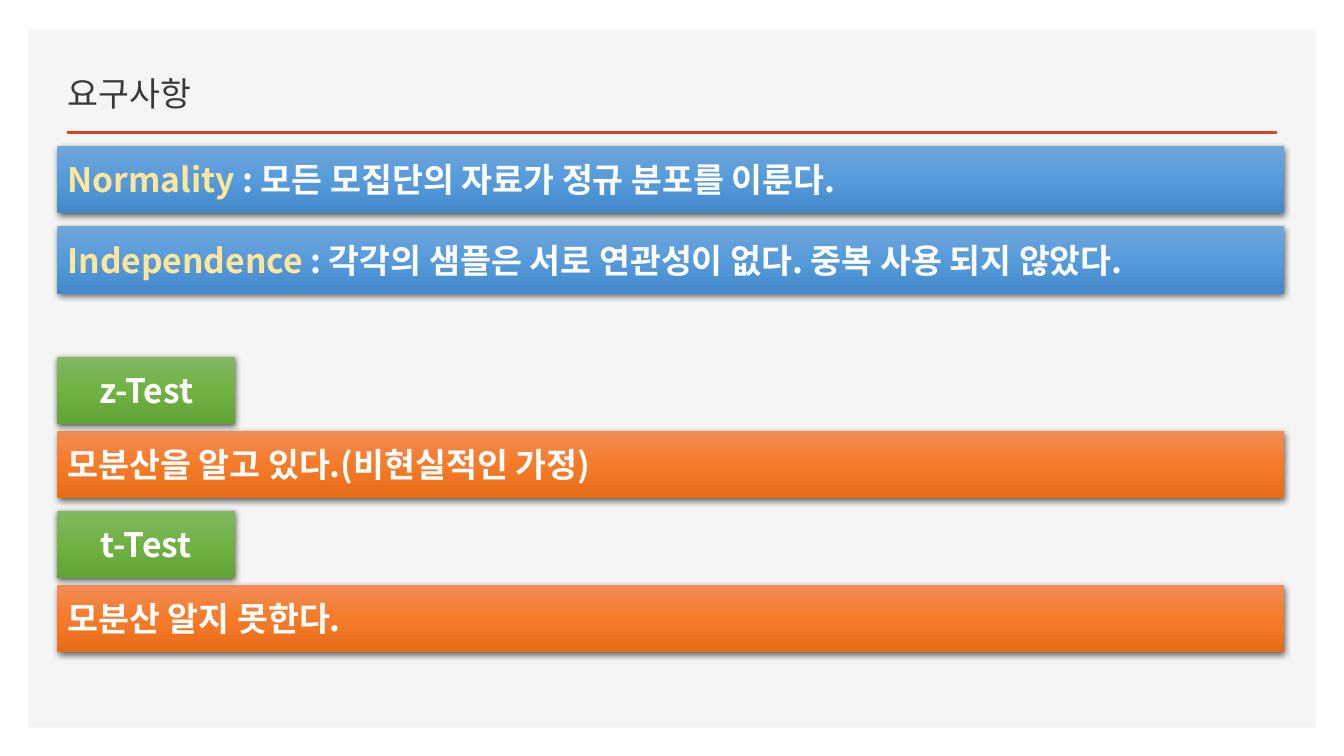
from copy import deepcopy

from lxml import etree
from pptx import Presentation
from pptx.dml.color import RGBColor
from pptx.enum.shapes import MSO_CONNECTOR, MSO_SHAPE
from pptx.enum.text import MSO_ANCHOR, PP_ALIGN
from pptx.oxml.ns import qn
from pptx.util import Cm, Pt

RECT = MSO_SHAPE.RECTANGLE
STRAIGHT = MSO_CONNECTOR.STRAIGHT
MIDDLE, BOTTOM = MSO_ANCHOR.MIDDLE, MSO_ANCHOR.BOTTOM
LEFT, CENTER = PP_ALIGN.LEFT, PP_ALIGN.CENTER

WHITE = RGBColor(0xFF, 0xFF, 0xFF)
PALE = RGBColor(0xF5, 0xF5, 0xF5)
RED = RGBColor(0xD2, 0x47, 0x26)
DARK = RGBColor(0x3B, 0x38, 0x38)
YELLOW = RGBColor(0xFF, 0xE6, 0x99)
BLUES = (RGBColor(0x71, 0xA6, 0xDB), RGBColor(0x55, 0x9B, 0xDB), RGBColor(0x44, 0x8A, 0xCA))
ORANGES = (RGBColor(0xF1, 0x8C, 0x57), RGBColor(0xF6, 0x7B, 0x28), RGBColor(0xE5, 0x6C, 0x19))
GREENS = (RGBColor(0x81, 0xB8, 0x61), RGBColor(0x6F, 0xB2, 0x42), RGBColor(0x62, 0xA3, 0x36))

HEAD_FONT, BODY_FONT = "Karla", "Noto Sans CJK KR"
SIZE = Pt(24)
BAR_H = 1.7  # cm, as are all plain lengths below

RULES = [
    ("Normality", " : 모든 모집단의 자료가 정규 분포를 이룬다."),
    ("Independence", " : 각각의 샘플은 서로 연관성이 없다. 중복 사용 되지 않았다."),
]
TESTS = [
    ("z-Test", "모분산을 알고 있다.(비현실적인 가정)"),
    ("t-Test", "모분산 알지 못한다."),
]


def style(run, name, color, bold):
    font = run.font
    font.name, font.size, font.bold = name, SIZE, bold
    font.color.rgb = color
    east = etree.SubElement(run._r.rPr, qn("a:ea"))
    east.set("typeface", BODY_FONT)


def shade(shape, colors):
    """Three-stop gradient from top to bottom."""
    fill = shape.fill
    fill.gradient()
    fill.gradient_angle = 270
    stops = shape._element.spPr.find(".//" + qn("a:gsLst"))
    stops.append(deepcopy(stops[-1]))
    for i, (stop, color) in enumerate(zip(fill.gradient_stops, colors)):
        stop.position = i / 2
        stop.color.rgb = color


def cast(shape):
    """Soft shadow straight below."""
    shape.shadow.inherit = False
    effects = shape._element.spPr.find(qn("a:effectLst"))
    outer = etree.SubElement(effects, qn("a:outerShdw"), blurRad=str(Pt(4.5)),
                             dist=str(Pt(1.5)), dir="5400000", algn="ctr", rotWithShape="0")
    black = etree.SubElement(outer, qn("a:srgbClr"), val="000000")
    etree.SubElement(black, qn("a:alpha"), val="63000")


def add_bar(slide, x, y, w, colors, parts, align=LEFT):
    """Shaded bar; parts are (text, colour) pairs on one line."""
    bar = slide.shapes.add_shape(RECT, Cm(x), Cm(y), Cm(w), Cm(BAR_H))
    bar.line.fill.background()
    shade(bar, colors)
    cast(bar)
    frame = bar.text_frame
    frame.word_wrap = True
    frame.vertical_anchor = MIDDLE
    line = frame.paragraphs[0]
    line.alignment = align
    for text, color in parts:
        run = line.add_run()
        run.text = text
        style(run, BODY_FONT, color, True)


def add_panel(slide, x, y, w, h):
    panel = slide.shapes.add_shape(RECT, Cm(x), Cm(y), Cm(w), Cm(h))
    panel.shadow.inherit = False
    panel.fill.solid()
    panel.fill.fore_color.rgb = PALE
    panel.line.fill.background()


def add_head(slide, x, y, w, text):
    """Title with a rule below it."""
    rule_x, rule_y = x + 0.23, y + 2.11
    rule = slide.shapes.add_connector(STRAIGHT, Cm(rule_x), Cm(rule_y),
                                      Cm(rule_x + w), Cm(rule_y))
    rule.line.color.rgb = RED
    rule.line.width = Pt(2)
    etree.SubElement(rule._element.spPr, qn("a:effectLst"))

    frame = slide.shapes.add_textbox(Cm(x), Cm(y), Cm(22.68), Cm(1.78)).text_frame
    frame.word_wrap = True
    frame.vertical_anchor = BOTTOM
    frame.text = text
    line = frame.paragraphs[0]
    line.line_spacing = 0.9
    style(line.runs[0], HEAD_FONT, DARK, False)


def add_rules(slide, x, y, w):
    for i, (term, text) in enumerate(RULES):
        add_bar(slide, x, y + i * 2.03, w, BLUES, [(term, YELLOW), (text, WHITE)])


def add_tests(slide, x, y, w):
    """Each test is a green tag over an orange bar."""
    for i, (name, text) in enumerate(TESTS):
        top = y + i * 3.88
        add_bar(slide, x, top + 1.86, w, ORANGES, [(text, WHITE)])
        add_bar(slide, x, top, 4.47, GREENS, [(name, WHITE)], CENTER)


def main():
    deck = Presentation()
    deck.slide_width, deck.slide_height = Cm(33.87), Cm(19.05)
    slide = deck.slides.add_slide(deck.slide_layouts[6])
    left, wide = 1.45, 30.91
    add_panel(slide, 0.71, 0.74, 32.46, 17.6)
    add_head(slide, left, 1.22, 30.5, "요구사항")
    add_rules(slide, left, 3.67, wide)
    add_tests(slide, left, 8.99, wide)
    deck.save("out.pptx")


if __name__ == "__main__":
    main()
